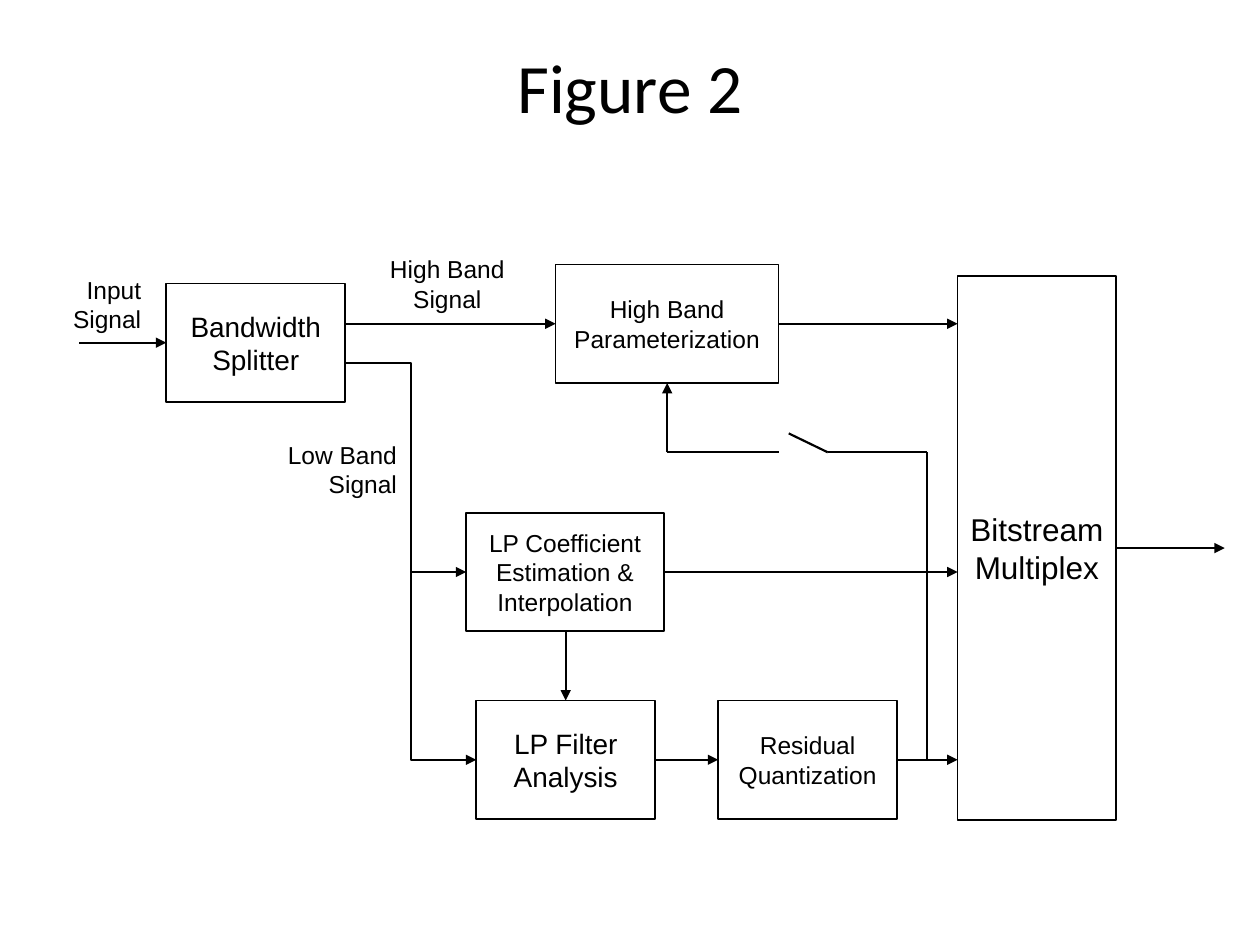
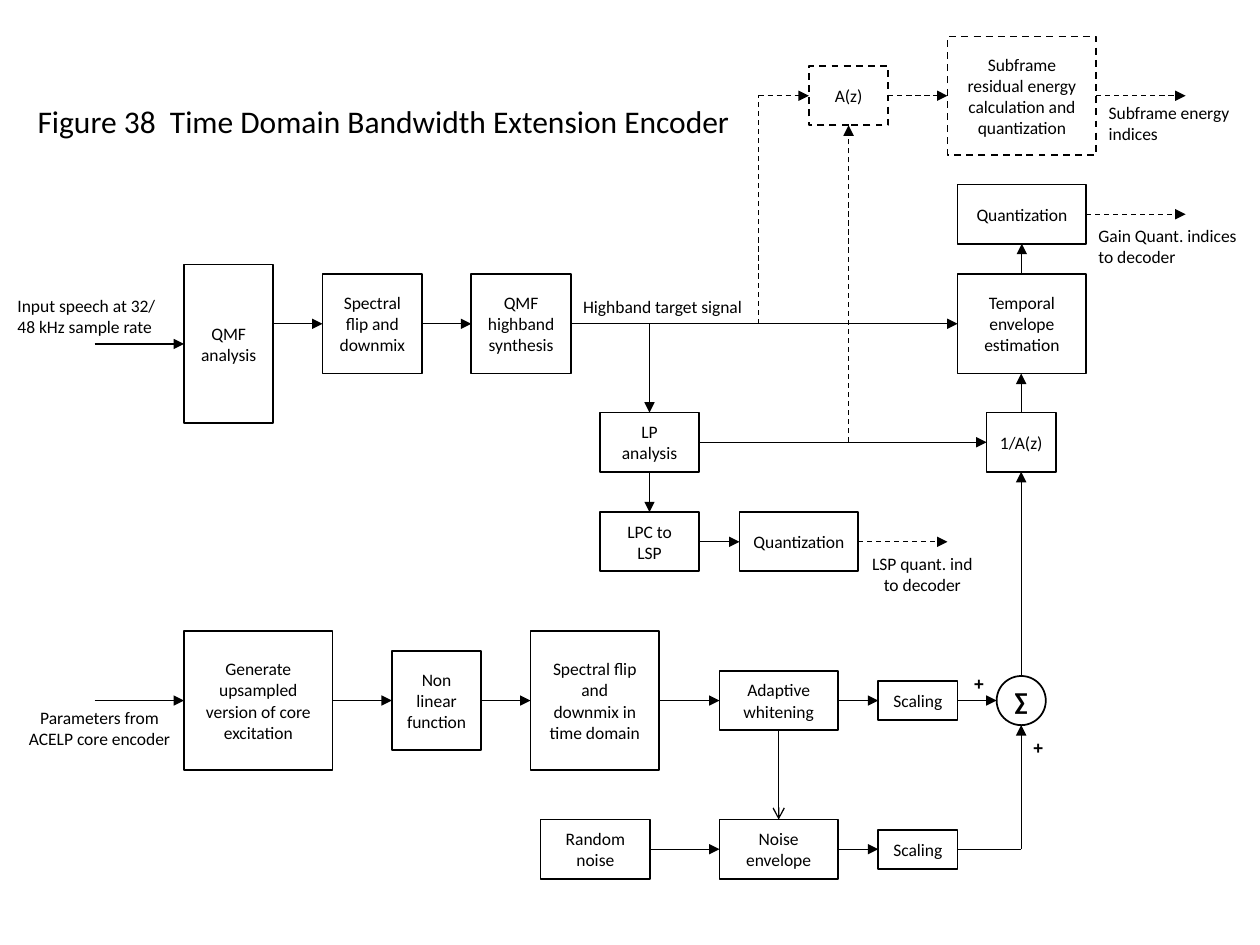
from dataclasses import dataclass
from functools import partial
from itertools import pairwise

from lxml import etree
from pptx import Presentation
from pptx import util as u
from pptx.dml.color import RGBColor
from pptx.enum import dml, shapes, text
from pptx.oxml.ns import qn

COLOURS = {"ink": "000000", "paper": "FFFFFF"}
ALIGN = {"left": text.PP_ALIGN.LEFT, "center": text.PP_ALIGN.CENTER, "right": text.PP_ALIGN.RIGHT}


@dataclass(frozen=True)
class Box:
    """A block of the diagram, placed by its left edge and the row it is centred on."""
    words: str
    left: float
    row: float
    width: float
    height: float
    size: float = 10
    dashed: bool = False
    kind: shapes.MSO_SHAPE = shapes.MSO_SHAPE.RECTANGLE
    bold: bool = False

    @property
    def right(self) -> float:
        return self.left + self.width

    @property
    def top(self) -> float:
        return self.row - self.height / 2

    @property
    def bottom(self) -> float:
        return self.row + self.height / 2

    @property
    def centre(self) -> float:
        return self.left + self.width / 2


@dataclass(frozen=True)
class Label:
    words: str
    left: float
    top: float
    width: float
    height: float
    align: str = "left"
    wrap: bool = True
    font: str = "Calibri"
    size: float = 10
    bold: bool = False


def colour(name: str) -> RGBColor:
    return RGBColor.from_string(COLOURS[name])


def write(shape, words: str, *, font: str, size: float, align: str = "center", bold: bool = False,
          wrap: bool = True, middle: bool = True, inset: float = 0.1) -> None:
    """Fill a shape with one paragraph for each line of words."""
    frame = shape.text_frame
    frame.word_wrap = wrap
    frame.vertical_anchor = text.MSO_ANCHOR.MIDDLE if middle else text.MSO_ANCHOR.TOP
    frame.margin_left = frame.margin_right = u.Inches(inset)
    frame.text = words
    for paragraph in frame.paragraphs:
        paragraph.alignment = ALIGN[align]
        for run in paragraph.runs:
            run.font.name, run.font.size, run.font.bold = font, u.Pt(size), bold
            run.font.color.rgb = colour("ink")


def style_line(line, width: float, dashed: bool) -> None:
    line.color.rgb = colour("ink")
    line.width = u.Pt(width)
    if dashed:
        line.dash_style = dml.MSO_LINE.DASH


def draw_box(slide, box: Box, font: str) -> None:
    shape = slide.shapes.add_shape(box.kind, u.Inches(box.left), u.Inches(box.top),
                                   u.Inches(box.width), u.Inches(box.height))
    shape.shadow.inherit = False
    shape.fill.solid()
    shape.fill.fore_color.rgb = colour("paper")
    style_line(shape.line, 1, box.dashed)
    write(shape, box.words, font=font, size=box.size, bold=box.bold, inset=0.05)


def draw_label(slide, label: Label, middle: bool = False) -> None:
    shape = slide.shapes.add_textbox(u.Inches(label.left), u.Inches(label.top),
                                     u.Inches(label.width), u.Inches(label.height))
    write(shape, label.words, font=label.font, size=label.size, align=label.align,
          bold=label.bold, wrap=label.wrap, middle=middle)


def draw_wire(slide, *points: tuple[float, float], width: float, head: str = "triangle",
              dashed: bool = False, elbow: bool = False) -> None:
    """Join the points in turn; the last stretch carries the arrowhead, if any."""
    kind = shapes.MSO_CONNECTOR.ELBOW if elbow else shapes.MSO_CONNECTOR.STRAIGHT
    for start, end in pairwise(points):
        connector = slide.shapes.add_connector(kind, *map(u.Inches, (*start, *end)))
        style_line(connector.line, width, dashed)
        properties = connector._element.spPr
        if head and end == points[-1]:
            etree.SubElement(properties.find(qn("a:ln")), qn("a:tailEnd"), type=head)
        etree.SubElement(properties, qn("a:effectLst"))


def link(wire, start: Box, end: Box, **style) -> None:
    """Run an arrow between facing edges, centred on the smaller box."""
    if start.right <= end.left:
        y = start.row if start.height < end.height else end.row
        wire((start.right, y), (end.left, y), **style)
    else:
        x = start.centre if start.width < end.width else end.centre
        down = start.row < end.row
        wire((x, start.bottom if down else start.top), (x, end.top if down else end.bottom), **style)


def build_codec_slide(slide) -> None:
    draw_label(slide, Label("Figure 2", 0.5, 0.3, 9, 0.77, "center", size=39.6), middle=True)

    # Blocks
    high_row, low_row, filter_row = 2.57, 4.54, 6.03
    boxes = {
        "splitter": Box("Bandwidth Splitter", 1.32, 2.72, 1.42, 0.94, 16),
        "high": Box("High Band Parameterization", 4.41, high_row, 1.77, 0.94, 14),
        "coefficients": Box("LP Coefficient Estimation & Interpolation", 3.7, low_row, 1.57, 0.94, 14),
        "filter": Box("LP Filter Analysis", 3.78, filter_row, 1.42, 0.94, 16),
        "residual": Box("Residual Quantization", 5.7, filter_row, 1.42, 0.94, 14),
        "multiplex": Box("Bitstream Multiplex", 7.6, 4.35, 1.26, 4.32, 18),
    }
    for box in boxes.values():
        draw_box(slide, box, "Arial")

    # Arrows between blocks
    wire = partial(draw_wire, slide, width=1.25)
    for start, end in (("splitter", "high"), ("high", "multiplex"), ("coefficients", "multiplex"),
                       ("coefficients", "filter"), ("filter", "residual"), ("residual", "multiplex")):
        link(wire, boxes[start], boxes[end])

    # Input, output and the low band branch
    splitter, multiplex, high = boxes["splitter"], boxes["multiplex"], boxes["high"]
    wire((0.63, splitter.row), (splitter.left, splitter.row))
    wire((multiplex.right, multiplex.row), (9.72, multiplex.row))
    wire((splitter.right, 2.88), (boxes["filter"].left, filter_row), elbow=True)
    wire((3.26, low_row), (boxes["coefficients"].left, low_row))

    # Switched feedback to the high band
    switch_row = 3.59
    wire((7.36, filter_row), (7.36, switch_row), (6.57, switch_row), (6.26, 3.44), head="")
    wire((high.right, switch_row), (high.centre, switch_row), (high.centre, high.bottom))

    # Signal names
    name = partial(Label, height=0.57, wrap=False, font="Arial", size=14)
    for label in (name("Input\nSignal", 0.47, 2.13, 0.75, align="right"),
                  name("High Band\nSignal", 2.99, 1.97, 1.12, align="center"),
                  name("Low Band\nSignal", 2.18, 3.44, 1.07, align="right")):
        draw_label(slide, label)


def build_encoder_slide(slide) -> None:
    draw_label(slide, Label("Figure 38  Time Domain Bandwidth Extension Encoder",
                            0.2, 0.76, 5.76, 0.4, wrap=False, size=18))

    # Blocks, row by row
    energy_row, gain_row, speech_row, lp_row = 0.76, 1.7, 2.57, 3.51
    lsp_row, core_row, noise_row = 4.3, 5.56, 6.74
    boxes = {
        "inverse": Box("A(z)", 6.42, energy_row, 0.63, 0.47, dashed=True),
        "energy": Box("Subframe\nresidual energy\ncalculation and\nquantization",
                      7.52, energy_row, 1.18, 0.94, dashed=True),
        "gain": Box("Quantization", 7.6, gain_row, 1.02, 0.47),
        "analysis": Box("QMF\nanalysis", 1.46, 2.73, 0.71, 1.26),
        "flip": Box("Spectral\nflip and\ndownmix", 2.56, speech_row, 0.79, 0.79),
        "synthesis": Box("QMF\nhighband\nsynthesis", 3.74, speech_row, 0.79, 0.79),
        "temporal": Box("Temporal\nenvelope\nestimation", 7.6, speech_row, 1.02, 0.79),
        "lp": Box("LP\nanalysis", 4.76, lp_row, 0.79, 0.47),
        "filter": Box("1/A(z)", 7.83, lp_row, 0.55, 0.47),
        "lsp": Box("LPC to\nLSP", 4.76, lsp_row, 0.79, 0.47),
        "lsp quantizer": Box("Quantization", 5.87, lsp_row, 0.94, 0.47),
        "excitation": Box("Generate\nupsampled\nversion of core\nexcitation", 1.46, core_row, 1.18, 1.1),
        "nonlinear": Box("Non\nlinear\nfunction", 3.11, core_row, 0.71, 0.79),
        "core flip": Box("Spectral flip\nand\ndownmix in\ntime domain", 4.21, core_row, 1.02, 1.1),
        "whitening": Box("Adaptive\nwhitening", 5.71, core_row, 0.94, 0.47),
        "core scaling": Box("Scaling", 6.97, core_row, 0.63, 0.31),
        "sum": Box("∑", 7.91, core_row, 0.39, 0.39, 14, kind=shapes.MSO_SHAPE.OVAL, bold=True),
        "random": Box("Random\nnoise", 4.29, noise_row, 0.87, 0.47),
        "noise": Box("Noise\nenvelope", 5.71, noise_row, 0.94, 0.47),
        "noise scaling": Box("Scaling", 6.97, noise_row, 0.63, 0.31),
    }
    for box in boxes.values():
        draw_box(slide, box, "Calibri")

    # Chains of blocks joined by arrows
    wire = partial(draw_wire, slide, width=0.75)
    chains = (
        ("analysis", "flip", "synthesis", "temporal", "gain"),
        ("lp", "filter", "temporal"),
        ("lp", "lsp", "lsp quantizer"),
        ("excitation", "nonlinear", "core flip", "whitening", "core scaling", "sum", "filter"),
        ("random", "noise", "noise scaling"),
    )
    for chain in chains:
        for start, end in pairwise(chain):
            link(wire, boxes[start], boxes[end])
    link(wire, boxes["inverse"], boxes["energy"], dashed=True)
    link(wire, boxes["whitening"], boxes["noise"], head="arrow")

    # Inputs and dashed outputs
    for name in ("analysis", "excitation"):
        wire((0.75, boxes[name].row), (boxes[name].left, boxes[name].row))
    for name, end in (("energy", 9.41), ("gain", 9.41), ("lsp quantizer", 7.52)):
        wire((boxes[name].right, boxes[name].row), (end, boxes[name].row), dashed=True)

    # Branches
    lp, inverse, total = boxes["lp"], boxes["inverse"], boxes["sum"]
    wire((lp.centre, speech_row), (lp.centre, lp.top))
    wire((6.02, speech_row), (6.02, energy_row), (inverse.left, energy_row), dashed=True)
    wire((inverse.centre, lp_row), (inverse.centre, inverse.bottom), dashed=True)
    wire((boxes["noise scaling"].right, noise_row), (total.centre, noise_row),
         (total.centre, total.bottom))

    # Signal names and signs of the sum
    plus = partial(Label, "+", width=0.28, height=0.27, wrap=False, font="Arial", bold=True)
    for label in (
        plus(left=7.63, top=5.29),
        plus(left=8.1, top=5.8),
        Label("Input speech at 32/ 48 kHz sample rate", 0.04, 2.29, 1.34, 0.44),
        Label("Parameters from\nACELP core encoder", 0.12, 5.56, 1.34, 0.44, "center"),
        Label("Highband target signal", 4.53, 2.3, 1.57, 0.27),
        Label("LSP quant. ind\nto decoder", 6.73, 4.34, 1.18, 0.44, "center"),
        Label("Subframe energy indices", 8.7, 0.76, 1.18, 0.44),
        Label("Gain Quant. indices\nto decoder", 8.62, 1.74, 1.34, 0.44),
    ):
        draw_label(slide, label)


def main() -> None:
    presentation = Presentation()
    presentation.slide_width, presentation.slide_height = u.Inches(10), u.Inches(7.5)
    for build in (build_codec_slide, build_encoder_slide):
        build(presentation.slides.add_slide(presentation.slide_layouts[6]))
    presentation.save("out.pptx")


main()
